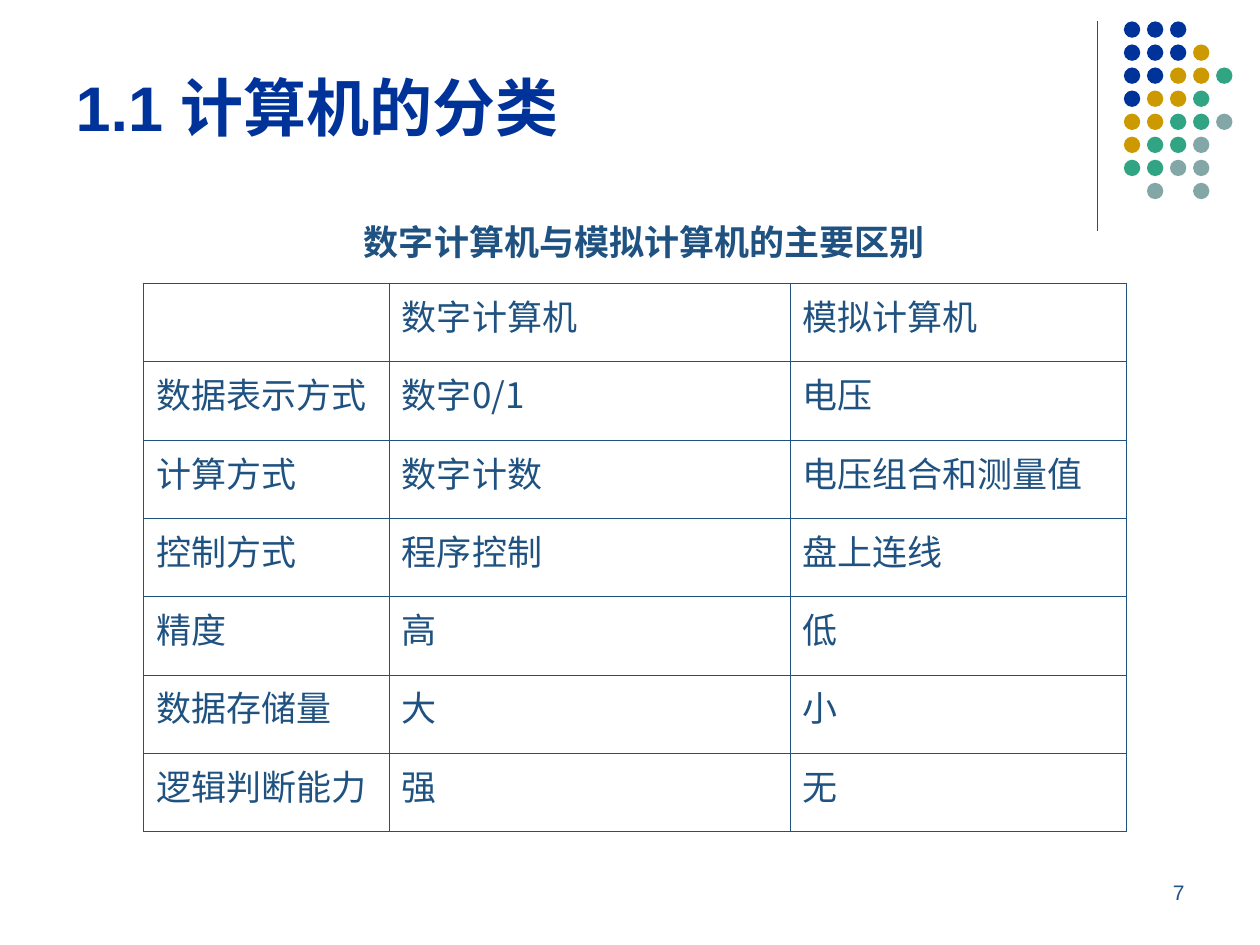
import pptx
import pptx.util
import pptx.dml.color
import pptx.enum.shapes
import pptx.enum.text
import pptx.oxml.ns
from lxml import etree

Inches = pptx.util.Inches
Pt = pptx.util.Pt
RGBColor = pptx.dml.color.RGBColor
ANCHOR = pptx.enum.text.MSO_ANCHOR
ALIGN = pptx.enum.text.PP_ALIGN
qn = pptx.oxml.ns.qn

NAVY = RGBColor(0x00, 0x33, 0x99)
STEEL = RGBColor(0x1F, 0x52, 0x81)
GOLD = RGBColor(0xCC, 0x99, 0x00)
GREEN = RGBColor(0x30, 0xA4, 0x83)
GRAY = RGBColor(0x83, 0xA6, 0xA7)

CJK_FONT = "Noto Sans CJK SC"
DOT_COLORS = {"N": NAVY, "Y": GOLD, "G": GREEN, "S": GRAY}
DOT_ROWS = ["NNN", "NNNY", "NNYYG", "NYYG", "YYGGS", "YGGS", "GGSS", " S S"]
COLUMN_WIDTHS = [1.95, 3.18, 2.67]
COMPARISON = [
    ["", "数字计算机", "模拟计算机"],
    ["数据表示方式", "数字0/1", "电压"],
    ["计算方式", "数字计数", "电压组合和测量值"],
    ["控制方式", "程序控制", "盘上连线"],
    ["精度", "高", "低"],
    ["数据存储量", "大", "小"],
    ["逻辑判断能力", "强", "无"],
]


def write_text(tf, text, size, color=STEEL, font="Arial", bold=False, align=ALIGN.LEFT):
    p = tf.paragraphs[0]
    p.alignment = align
    r = p.add_run()
    r.text = text
    r.font.size = Pt(size)
    r.font.bold = bold
    r.font.color.rgb = color
    r.font.name = font
    etree.SubElement(r.font._element, qn("a:ea"), typeface=CJK_FONT)


def add_title(s, left, top, width, height):
    sp = s.shapes.title
    sp.left, sp.top, sp.width, sp.height = map(Inches, (left, top, width, height))
    tf = sp.text_frame
    tf.vertical_anchor = ANCHOR.MIDDLE
    write_text(tf, "1.1 计算机的分类", 36, color=NAVY, bold=True)


def add_label(s, left, top, width, height, text, size, wrap=True, anchor=ANCHOR.TOP, **style):
    sp = s.shapes.add_textbox(*map(Inches, (left, top, width, height)))
    tf = sp.text_frame
    tf.word_wrap = wrap
    tf.vertical_anchor = anchor
    write_text(tf, text, size, **style)


def add_divider(s, x, top, bottom):
    line = s.shapes.add_connector(
        pptx.enum.shapes.MSO_CONNECTOR.STRAIGHT,
        Inches(x), Inches(top), Inches(x), Inches(bottom))
    line.line.color.rgb = STEEL
    line.line.width = Pt(0.75)
    etree.SubElement(line._element.spPr, qn("a:effectLst"))


def add_dots(s, left, top, pitch, size):
    group = s.shapes.add_group_shape()
    for row, codes in enumerate(DOT_ROWS):
        for col, code in enumerate(codes):
            if code not in DOT_COLORS:
                continue
            dot = group.shapes.add_shape(
                pptx.enum.shapes.MSO_SHAPE.OVAL,
                Inches(left + col * pitch), Inches(top + row * pitch),
                Inches(size), Inches(size))
            dot.shadow.inherit = False
            dot.fill.solid()
            dot.fill.fore_color.rgb = DOT_COLORS[code]
            dot.line.fill.background()


def set_borders(cell, widths):
    tcPr = cell._tc.get_or_add_tcPr()
    for index, (side, width) in enumerate(widths.items()):
        ln = etree.Element(qn("a:" + side), w=str(Pt(width)))
        fill = etree.SubElement(ln, qn("a:solidFill"))
        etree.SubElement(fill, qn("a:srgbClr"), val=str(STEEL))
        tcPr.insert(index, ln)


def add_comparison(s, left, top, width, height):
    rows, cols = len(COMPARISON), len(COLUMN_WIDTHS)
    frame = s.shapes.add_table(rows, cols, *map(Inches, (left, top, width, height)))
    table = frame.table
    table.first_row = False
    table.horz_banding = False
    for column, column_width in zip(table.columns, COLUMN_WIDTHS):
        column.width = Inches(column_width)
    for i, values in enumerate(COMPARISON):
        for j, text in enumerate(values):
            cell = table.cell(i, j)
            cell.fill.background()
            if text:
                write_text(cell.text_frame, text, 20, font=CJK_FONT)
            outer = {"lnL": j == 0, "lnR": j == cols - 1,
                     "lnT": i == 0, "lnB": i == rows - 1}
            set_borders(cell, {side: 1.08 if edge else 0.45 for side, edge in outer.items()})


def main():
    prs = pptx.Presentation()
    prs.slide_width = Inches(10)
    prs.slide_height = Inches(7.5)
    s = prs.slides.add_slide(prs.slide_layouts.get_by_name("Title Only"))
    add_divider(s, 8.71, 0.17, 1.83)
    add_dots(s, 8.92, 0.17, 0.183, 0.13)
    add_label(s, 7.17, 6.83, 2.33, 0.5, "7", 12, anchor=ANCHOR.MIDDLE, align=ALIGN.RIGHT)
    add_title(s, 0.5, 0.13, 8.25, 1.42)
    add_comparison(s, 1.14, 2.25, 7.8, 4.35)
    add_label(s, 2.79, 1.7, 4.65, 0.44, "数字计算机与模拟计算机的主要区别", 20,
              wrap=False, bold=True)
    prs.save("out.pptx")


if __name__ == "__main__":
    main()
